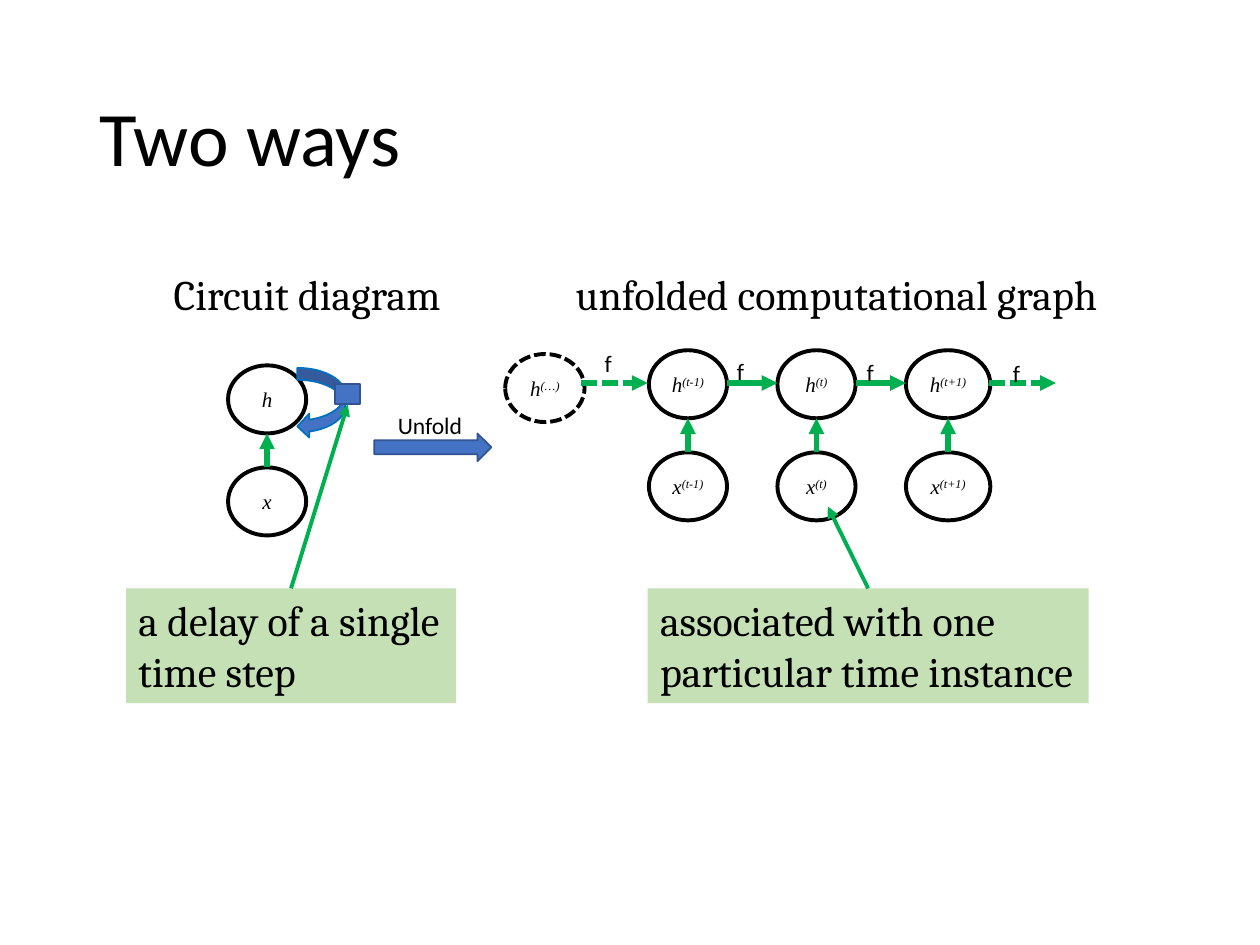
from dataclasses import dataclass

from lxml import etree
from pptx import Presentation
from pptx import util as u
from pptx.dml.color import RGBColor
from pptx.enum import dml, shapes, text
from pptx.oxml import ns


@dataclass(frozen=True)
class Theme:
    ink: str = "000000"
    flow: str = "00B050"
    block: str = "4472C4"
    block_edge: str = "325491"
    loop_edge: str = "0070C0"
    note: str = "C5E0B4"
    sans: str = "Calibri"
    serif: str = "Cambria"
    formula: str = "Times New Roman"
    title_size: float = 44
    heading_size: float = 24
    label_size: float = 13.5
    state_size: float = 12
    thin: float = 1
    medium: float = 2.25
    thick: float = 3


class DiagramSlide:
    def __init__(self, slide, theme):
        self.slide = slide
        self.theme = theme

    def style_font(self, paragraph, family, size, italic=False):
        font = paragraph.font
        font.name, font.size, font.italic = family, u.Pt(size), italic
        font.color.rgb = RGBColor.from_string(self.theme.ink)

    def style_line(self, line, color, width, dashed=False):
        line.color.rgb = RGBColor.from_string(color)
        line.width = u.Pt(width)
        if dashed:
            line.dash_style = dml.MSO_LINE.SQUARE_DOT

    def title(self, wording, box):
        heading = self.slide.shapes.title
        heading.left, heading.top, heading.width, heading.height = map(u.Inches, box)
        frame = heading.text_frame
        frame.text = wording
        frame.auto_size = text.MSO_AUTO_SIZE.NONE
        frame.vertical_anchor = text.MSO_ANCHOR.MIDDLE
        paragraph = frame.paragraphs[0]
        paragraph.alignment = text.PP_ALIGN.LEFT
        paragraph.line_spacing = 0.9
        self.style_font(paragraph, self.theme.sans, self.theme.title_size)

    def label(self, wording, box, family, size, wrap=True):
        frame = self.slide.shapes.add_textbox(*map(u.Inches, box)).text_frame
        frame.word_wrap = wrap
        frame.auto_size = text.MSO_AUTO_SIZE.SHAPE_TO_FIT_TEXT
        frame.text = wording
        self.style_font(frame.paragraphs[0], family, size)

    def block(self, kind, box, fill=None, edge=None, width=1, dashed=False):
        body = self.slide.shapes.add_shape(kind, *map(u.Inches, box))
        body.shadow.inherit = False
        if fill:
            body.fill.solid()
            body.fill.fore_color.rgb = RGBColor.from_string(fill)
        else:
            body.fill.background()
        if edge:
            self.style_line(body.line, edge, width, dashed)
        else:
            body.line.fill.background()
        return body

    def state(self, symbol, step, box, dashed=False):
        node = self.block(shapes.MSO_SHAPE.OVAL, box, None,
                          self.theme.ink, self.theme.medium, dashed)
        frame = node.text_frame
        frame.margin_left = frame.margin_right = u.Inches(0.07)
        frame.margin_top = frame.margin_bottom = u.Inches(0.04)
        frame.vertical_anchor = text.MSO_ANCHOR.MIDDLE
        paragraph = frame.paragraphs[0]
        paragraph.alignment = text.PP_ALIGN.CENTER
        self.style_font(paragraph, self.theme.formula, self.theme.state_size, True)
        paragraph.add_run().text = symbol
        if step:
            index = paragraph.add_run()
            index.text = step
            index.font._element.set("baseline", "30000")

    def note(self, wording, box):
        frame = self.block(shapes.MSO_SHAPE.RECTANGLE, box, self.theme.note).text_frame
        frame.word_wrap = True
        frame.auto_size = text.MSO_AUTO_SIZE.SHAPE_TO_FIT_TEXT
        frame.vertical_anchor = text.MSO_ANCHOR.TOP
        frame.text = wording
        paragraph = frame.paragraphs[0]
        paragraph.alignment = text.PP_ALIGN.LEFT
        self.style_font(paragraph, self.theme.serif, self.theme.heading_size)

    def arrow(self, start, end, width, dashed=False):
        link = self.slide.shapes.add_connector(
            shapes.MSO_CONNECTOR.STRAIGHT, *map(u.Inches, (*start, *end)))
        self.style_line(link.line, self.theme.flow, width, dashed)
        properties = link._element.spPr
        etree.SubElement(properties.find(ns.qn("a:ln")), ns.qn("a:tailEnd"), type="triangle")
        etree.SubElement(properties, ns.qn("a:effectLst"))


def main():
    deck = Presentation()
    deck.slide_width, deck.slide_height = u.Inches(10), u.Inches(7.5)
    theme = Theme()
    page = DiagramSlide(deck.slides.add_slide(deck.slide_layouts[5]), theme)

    page.title("Two ways", (0.69, 0.4, 8.62, 1.45))
    for heading, left, width in (("Circuit diagram", 1.28, 2.34),
                                 ("unfolded computational graph", 4.47, 4.42)):
        page.label(heading, (left, 2.08, width, 0.5),
                   theme.serif, theme.heading_size, wrap=False)

    oval_height, input_drop = 0.54, 0.81
    columns = (
        ("(t-1)", 5.15, 2.78, 0.62),
        ("(t)", 6.17, 2.78, 0.62),
        ("(t+1)", 7.19, 2.78, 0.67),
        ("", 1.81, 2.9, 0.62),
    )
    for step, left, top, width in columns:
        input_top = top + input_drop
        center = left + width / 2
        page.state("h", step, (left, top, width, oval_height))
        page.state("x", step, (left, input_top, width, oval_height))
        page.arrow((center, input_top), (center, top + oval_height), theme.thick)
    page.state("h", "(…)", (4.01, 2.81, 0.63, oval_height), dashed=True)

    transitions = (
        (4.61, 5.14, 4.7, 2.72, True),
        (5.77, 6.17, 5.75, 2.78, False),
        (6.79, 7.19, 6.78, 2.79, False),
        (7.85, 8.38, 7.94, 2.8, True),
    )
    for start, end, label_left, label_top, dashed in transitions:
        page.arrow((start, 3.04), (end, 3.04), theme.thick, dashed)
        page.label("f", (label_left, label_top, 0.25, 0.33), theme.sans, theme.label_size)

    page.block(shapes.MSO_SHAPE.CURVED_LEFT_ARROW, (2.36, 2.92, 0.38, 0.56),
               theme.block, theme.loop_edge, theme.thin)
    page.block(shapes.MSO_SHAPE.RIGHT_ARROW, (2.97, 3.44, 0.93, 0.22),
               theme.block, theme.block_edge, theme.thin)
    page.label("Unfold", (3.06, 3.21, 0.74, 0.33), theme.sans, theme.label_size)
    page.block(shapes.MSO_SHAPE.RECTANGLE, (2.66, 3.05, 0.2, 0.16),
               theme.block, theme.block_edge, theme.thin)

    notes = (
        ("a delay of a single time step", 1, 2.62, (2.76, 3.21)),
        ("associated with one particular time instance", 5.14, 3.5, (6.57, 4.02)),
    )
    for wording, left, width, target in notes:
        page.note(wording, (left, 4.67, width, 0.91))
        page.arrow((left + width / 2, 4.67), target, theme.medium)

    deck.save("out.pptx")


if __name__ == "__main__":
    main()
